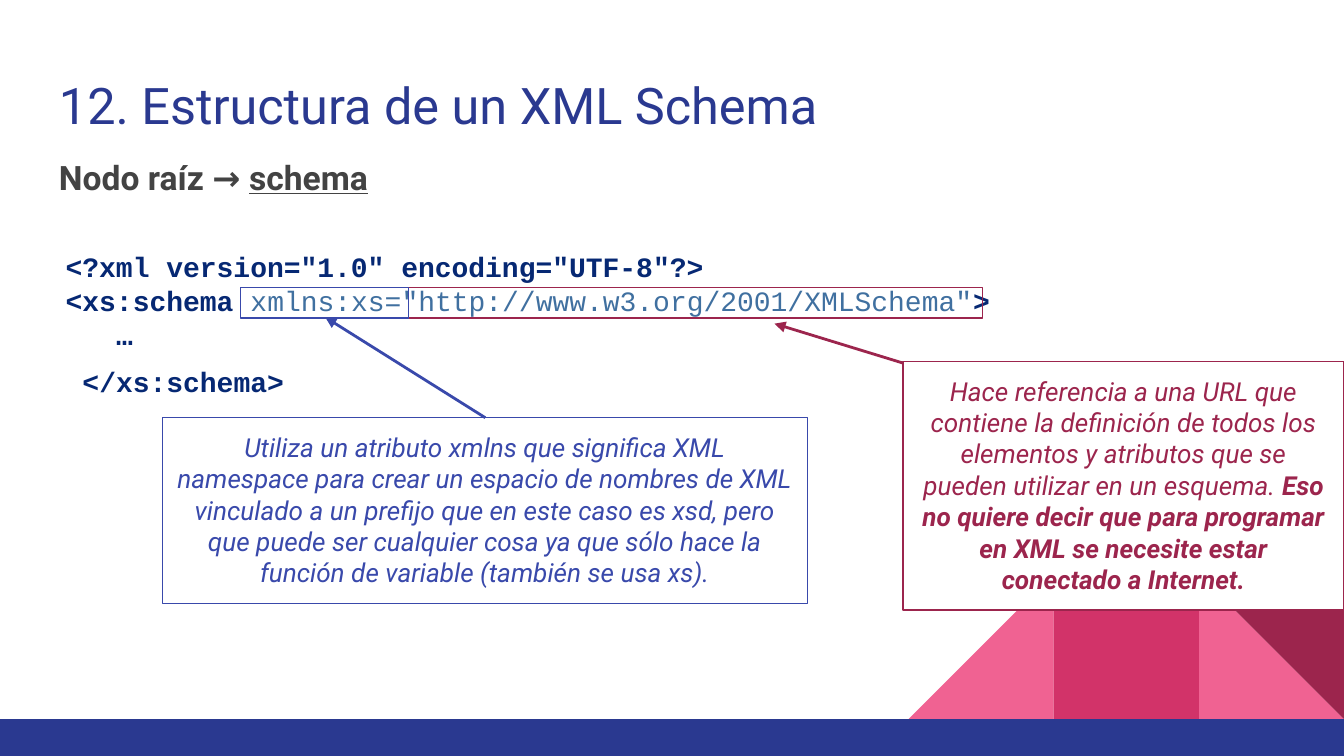
import dataclasses
import typing

import lxml.etree
import pptx
import pptx.dml.color
import pptx.enum.shapes
import pptx.enum.text
import pptx.oxml.ns
import pptx.util

Pt = pptx.util.Pt
Kind = pptx.enum.shapes.MSO_SHAPE
Align = pptx.enum.text.PP_ALIGN


@dataclasses.dataclass(frozen=True)
class Theme:
    white: str = "FFFFFF"
    navy: str = "2A3990"
    blue: str = "3949AB"
    wine: str = "9C254D"
    rose: str = "D23369"
    pink: str = "F06292"
    gray: str = "434343"
    tag: str = "062873"
    attr: str = "4070A0"
    sans: str = "Roboto"
    mono: str = "Courier New"
    title: float = 27
    head: float = 18
    code: float = 15
    note: float = 14


@dataclasses.dataclass(frozen=True)
class Box:
    x: float
    y: float
    w: float
    h: float
    fill: typing.Optional[str] = None
    line: typing.Optional[str] = None
    kind: typing.Any = Kind.RECTANGLE
    turn: float = 0
    flip: bool = False


@dataclasses.dataclass(frozen=True)
class Run:
    text: str
    color: typing.Optional[str] = None
    bold: typing.Optional[bool] = None
    under: typing.Optional[bool] = None


@dataclasses.dataclass(frozen=True)
class Para:
    runs: tuple[Run, ...]
    font: str
    size: float
    color: str
    bold: bool = False
    slant: bool = False
    align: typing.Any = Align.LEFT
    lead: float = 1
    after: float = 0
    left: float = 0


def rgb(code: str) -> pptx.dml.color.RGBColor:
    return pptx.dml.color.RGBColor.from_string(code)


def draw(slide: typing.Any, box: Box) -> typing.Any:
    shape = slide.shapes.add_shape(box.kind, Pt(box.x), Pt(box.y), Pt(box.w), Pt(box.h))
    shape.shadow.inherit = False
    shape.rotation = box.turn
    if box.flip:
        shape._element.spPr.find(pptx.oxml.ns.qn("a:xfrm")).set("flipH", "1")
    if box.fill:
        shape.fill.solid()
        shape.fill.fore_color.rgb = rgb(box.fill)
    else:
        shape.fill.background()
    if box.line:
        shape.line.color.rgb = rgb(box.line)
        shape.line.width = Pt(0.75)
    else:
        shape.line.fill.background()
    return shape


def write(shape: typing.Any, paras: list[Para]) -> None:
    frame = shape.text_frame
    frame.word_wrap = True
    frame.vertical_anchor = pptx.enum.text.MSO_ANCHOR.TOP
    frame.margin_left = frame.margin_right = Pt(7.2)
    frame.margin_top = frame.margin_bottom = Pt(7.2)
    for n, item in enumerate(paras):
        para = frame.add_paragraph() if n else frame.paragraphs[0]
        para.alignment = item.align
        para.line_spacing = item.lead
        para.space_after = Pt(item.after)
        if item.left:
            para._p.get_or_add_pPr().set("marL", str(Pt(item.left)))
        font = para.font
        font.name, font.size = item.font, Pt(item.size)
        font.bold, font.italic = item.bold, item.slant
        font.color.rgb = rgb(item.color)
        for part in item.runs:
            run = para.add_run()
            run.text = part.text
            run.font.bold = part.bold
            run.font.underline = part.under
            if part.color:
                run.font.color.rgb = rgb(part.color)


def text(slide: typing.Any, box: Box, paras: list[Para]) -> None:
    write(slide.shapes.add_textbox(Pt(box.x), Pt(box.y), Pt(box.w), Pt(box.h)), paras)


def arrow(slide: typing.Any, start: tuple[float, float], end: tuple[float, float], color: str) -> None:
    link = slide.shapes.add_connector(
        pptx.enum.shapes.MSO_CONNECTOR.STRAIGHT, *map(Pt, start + end))
    link.line.color.rgb = rgb(color)
    link.line.width = Pt(1.5)
    qn = pptx.oxml.ns.qn
    tip = lxml.etree.SubElement(link.line._get_or_add_ln(), qn("a:tailEnd"))
    tip.set("type", "triangle")
    lxml.etree.SubElement(link._element.spPr, qn("a:effectLst"))


def note(slide: typing.Any, box: Box, runs: tuple[Run, ...]) -> None:
    write(draw(slide, box), [Para(runs, look.sans, look.note, box.line,
                                  slant=True, align=Align.CENTER)])


def code(*runs: Run, left: float = 0, lead: float = 1) -> Para:
    return Para(runs, look.mono, look.code, look.tag, bold=True, left=left, lead=lead)


look = Theme()
deck = pptx.Presentation()
deck.slide_width, deck.slide_height = Pt(720), Pt(405)
page = deck.slides.add_slide(deck.slide_layouts[6])

# Corner pattern and footer bar
side, base = 77.75, 385.25
cols = [720 - side * n for n in (3, 2, 1)]
top = base - side
tri = Kind.RIGHT_TRIANGLE
for box in (
    Box(cols[2], top, side, side, look.pink, kind=tri),
    Box(cols[0], top, side, side, look.pink, kind=tri, flip=True),
    Box(cols[1], top, side, side, look.rose),
    Box(cols[2], top, side, side, look.wine, kind=tri, turn=180),
    Box(0, base, 720, 405 - base, look.navy),
):
    draw(page, box)

# Title and heading
text(page, Box(24.5, 32.4, 671, 47.5),
     [Para((Run("12. Estructura de un XML Schema"),), look.sans, look.title, look.navy)])
write(draw(page, Box(24.5, 73.4, 666, 36, look.white)),
      [Para((Run("Nodo raíz → "), Run("schema", under=True)), look.sans, look.head,
            look.gray, bold=True, align=Align.JUSTIFY, lead=1.15, after=12)])

# Code sample
text(page, Box(28.1, 126.7, 547, 87), [
    code(Run('<?xml version="1.0" encoding="UTF-8"?>')),
    code(Run("<xs:schema "),
         Run('xmlns:xs="http://www.w3.org/2001/XMLSchema"', look.attr, False),
         Run(">")),
    code(Run("…"), left=27),
    code(Run("</xs:schema>"), left=9, lead=1.4),
])

# Note on the URL
note(page, Box(483.8, 193.7, 236.2, 133.2, look.white, look.wine), (
    Run("Hace referencia a una URL que contiene la definición de todos los elementos "
        "y atributos que se pueden utilizar en un esquema. "),
    Run("Eso no quiere decir que para programar en XML se necesite estar "
        "conectado a Internet.", bold=True)))
arrow(page, (483.4, 194.4), (414.9, 173.4), look.wine)
draw(page, Box(219, 154.2, 307.5, 16.2, line=look.wine))

# Note on the namespace
note(page, Box(87, 223.8, 345.6, 99.4, look.white, look.blue), (
    Run("Utiliza un atributo xmlns que significa XML namespace para crear un espacio de "
        "nombres de XML vinculado a un prefijo que en este caso es xsd, pero que puede ser "
        "cualquier cosa ya que sólo hace la función de variable (también se usa xs)."),))
arrow(page, (260, 223.8), (174.3, 170), look.blue)
draw(page, Box(129, 154.2, 90, 16.2, line=look.blue))

deck.save("out.pptx")
